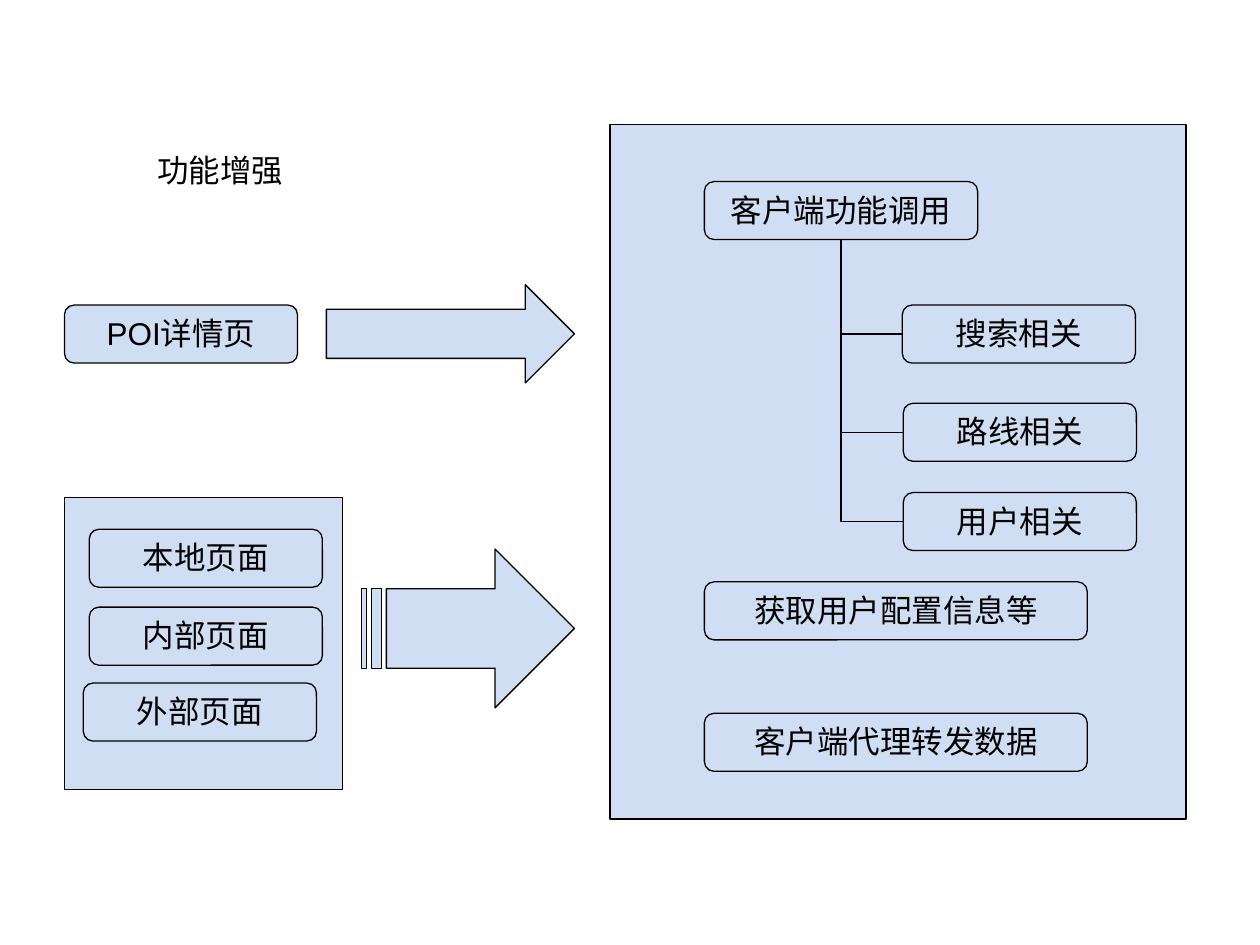
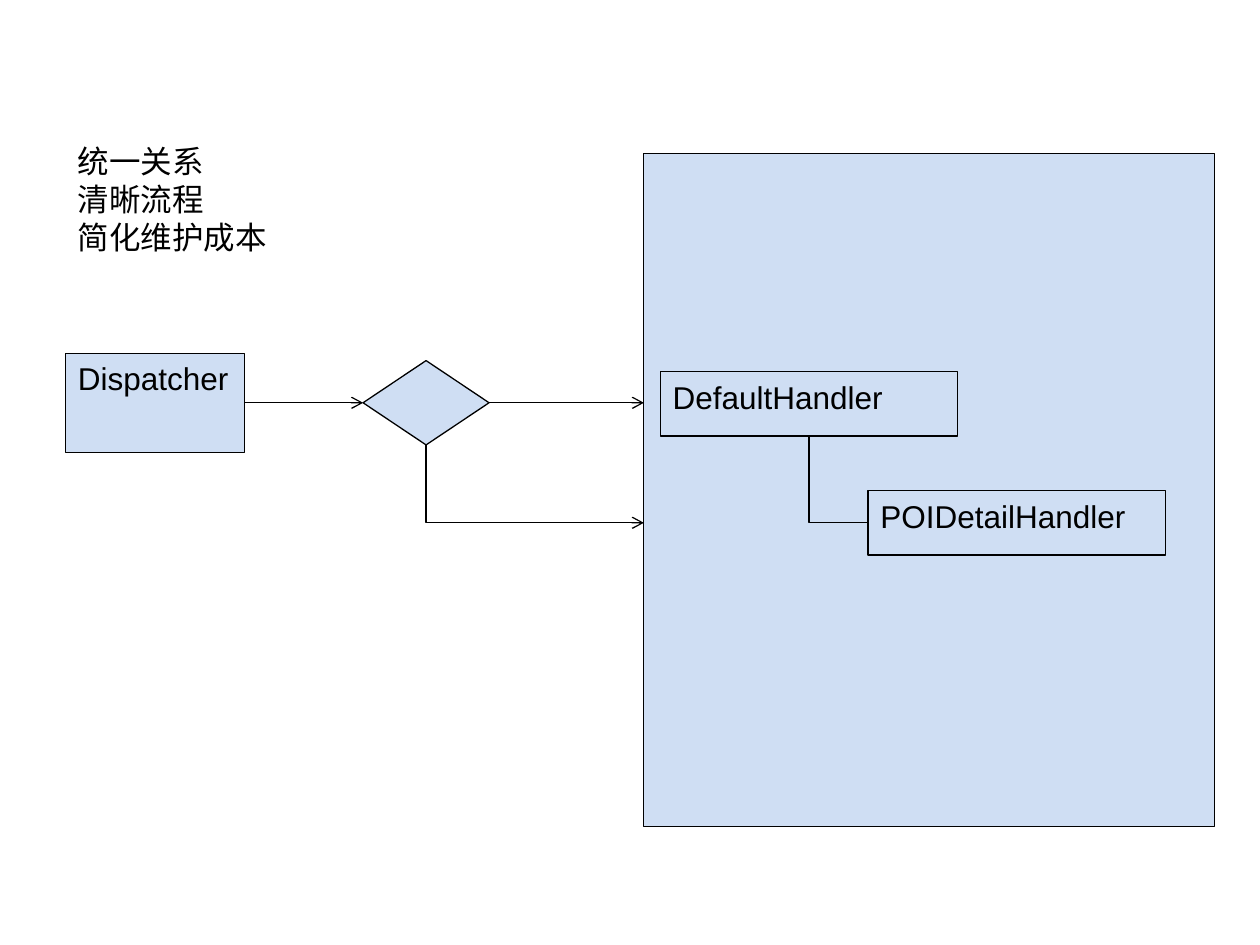
from lxml.etree import SubElement
from pptx import Presentation
from pptx.dml.color import RGBColor
from pptx.enum.shapes import MSO_CONNECTOR, MSO_SHAPE
from pptx.enum.text import MSO_ANCHOR, MSO_AUTO_SIZE, PP_ALIGN
from pptx.oxml.ns import qn
from pptx.util import Cm, Pt

COLORS = {"fill": "CFDEF3", "ink": "000000"}
FONT = {"name": "Arial", "size": Pt(18)}
BOX_FRAME = {"vertical_anchor": MSO_ANCHOR.TOP, "word_wrap": True}
HEADING_FRAME = {"word_wrap": False, "auto_size": MSO_AUTO_SIZE.SHAPE_TO_FIT_TEXT}
BOTTOM, LEFT, RIGHT = 2, 1, 3

PAGE_SIZE = (4.7, 1.17)
SERVICE_SIZE = (7.72, 1.17)
HANDLER_SIZE = (5.99, 1.3)

ENHANCEMENT = {
    "heading": (["功能增强"], (2.92, 2.92, 3.05, 1.02)),
    "areas": [
        (MSO_SHAPE.RECTANGLE, (12.3, 2.51, 11.61, 14)),
        (MSO_SHAPE.RECTANGLE, (1.3, 10.03, 5.61, 5.89)),
        (MSO_SHAPE.RIGHT_ARROW, (6.58, 5.74, 5, 1.98)),
        (MSO_SHAPE.STRIPED_RIGHT_ARROW, (7.29, 11.07, 4.29, 3.2)),
    ],
    "pages": [
        ("POI详情页", (1.3, 6.15)),
        ("本地页面", (1.8, 10.67)),
        ("内部页面", (1.8, 12.24)),
        ("外部页面", (1.68, 13.77)),
    ],
    "services": [
        ("获取用户配置信息等", (14.2, 11.73)),
        ("客户端代理转发数据", (14.2, 14.38)),
    ],
    "client_call": ("客户端功能调用", (14.2, 3.66, 5.51, 1.17)),
    "call_topics": [
        ("搜索相关", (18.19, 6.15)),
        ("路线相关", (18.21, 8.13)),
        ("用户相关", (18.21, 9.93)),
    ],
}

DISPATCH = {
    "heading": (["统一关系", "清晰流程", "简化维护成本"], (1.32, 2.74, 4.32, 2.54)),
    "handler_area": (12.98, 3.1, 11.51, 13.56),
    "dispatcher": ("Dispatcher", (1.32, 7.12, 3.61, 2)),
    "decision": (7.32, 7.27, 2.54, 1.7),
    "default_handler": ("DefaultHandler", (13.31, 7.49)),
    "detail_handler": ("POIDetailHandler", (17.5, 9.89)),
}


def apply(target, values):
    for key, value in values.items():
        setattr(target, key, value)


def write(frame, lines, align, frame_format):
    apply(frame, frame_format)
    frame.text = "\n".join(lines)
    for paragraph in frame.paragraphs:
        paragraph.alignment = align
        for run in paragraph.runs:
            apply(run.font, FONT)
            run.font.color.rgb = RGBColor.from_string(COLORS["ink"])


def outline(item):
    item.line.color.rgb = RGBColor.from_string(COLORS["ink"])
    item.line.width = Pt(0.75)


def add_heading(slide, lines, place):
    heading = slide.shapes.add_textbox(*map(Cm, place))
    write(heading.text_frame, lines, PP_ALIGN.LEFT, HEADING_FRAME)


def add_box(slide, kind, place, text="", align=PP_ALIGN.LEFT):
    box = slide.shapes.add_shape(kind, *map(Cm, place))
    box.shadow.inherit = False
    box.fill.solid()
    box.fill.fore_color.rgb = RGBColor.from_string(COLORS["fill"])
    outline(box)
    if text:
        write(box.text_frame, [text], align, BOX_FRAME)
    return box


def add_rounded(slide, text, place):
    return add_box(slide, MSO_SHAPE.ROUNDED_RECTANGLE, place, text, PP_ALIGN.CENTER)


def bend_down_then_right(link):
    across, down = link.width, link.height
    center_x, center_y = link.left + across // 2, link.top + down // 2
    apply(link, {"left": center_x - down // 2, "top": center_y - across // 2,
                 "width": down, "height": across})
    properties = link._element.spPr
    properties.find(qn("a:prstGeom")).set("prst", "bentConnector2")
    frame = properties.find(qn("a:xfrm"))
    frame.set("rot", "16200000")
    frame.set("flipH", "1")


def add_link(slide, start, site, end, arrow=False):
    bent = site == BOTTOM
    kind = MSO_CONNECTOR.ELBOW if bent else MSO_CONNECTOR.STRAIGHT
    to_point = isinstance(end, tuple)
    link = slide.shapes.add_connector(kind, 0, 0, *(end if to_point else (0, 0)))
    link.begin_connect(start, site)
    if not to_point:
        link.end_connect(end, LEFT)
    if bent:
        bend_down_then_right(link)
    outline(link)
    if arrow:
        SubElement(link.line._get_or_add_ln(), qn("a:tailEnd"), type="arrow")
    SubElement(link._element.spPr, qn("a:effectLst"))


def middle(box):
    return box.top + box.height // 2


def build_enhancement(slide):
    add_heading(slide, *ENHANCEMENT["heading"])
    for kind, place in ENHANCEMENT["areas"]:
        add_box(slide, kind, place)
    for group, size in (("pages", PAGE_SIZE), ("services", SERVICE_SIZE)):
        for text, corner in ENHANCEMENT[group]:
            add_rounded(slide, text, corner + size)
    client_call = add_rounded(slide, *ENHANCEMENT["client_call"])
    for text, corner in ENHANCEMENT["call_topics"]:
        topic = add_rounded(slide, text, corner + PAGE_SIZE)
        add_link(slide, client_call, BOTTOM, topic)


def build_dispatch(slide):
    add_heading(slide, *DISPATCH["heading"])
    handler_area = add_box(slide, MSO_SHAPE.RECTANGLE, DISPATCH["handler_area"])
    text, place = DISPATCH["dispatcher"]
    dispatcher = add_box(slide, MSO_SHAPE.RECTANGLE, place, text)
    decision = add_box(slide, MSO_SHAPE.FLOWCHART_DECISION, DISPATCH["decision"])
    default_handler, detail_handler = (
        add_box(slide, MSO_SHAPE.RECTANGLE, corner + HANDLER_SIZE, text)
        for text, corner in (DISPATCH["default_handler"], DISPATCH["detail_handler"])
    )
    add_link(slide, dispatcher, RIGHT, decision, arrow=True)
    for site, level in ((RIGHT, decision), (BOTTOM, detail_handler)):
        add_link(slide, decision, site, (handler_area.left, middle(level)), arrow=True)
    add_link(slide, default_handler, BOTTOM, detail_handler)


def main():
    deck = Presentation()
    apply(deck, {"slide_width": Cm(25.4), "slide_height": Cm(19.05)})
    for build in (build_enhancement, build_dispatch):
        build(deck.slides.add_slide(deck.slide_layouts[6]))
    deck.save("out.pptx")


if __name__ == "__main__":
    main()
